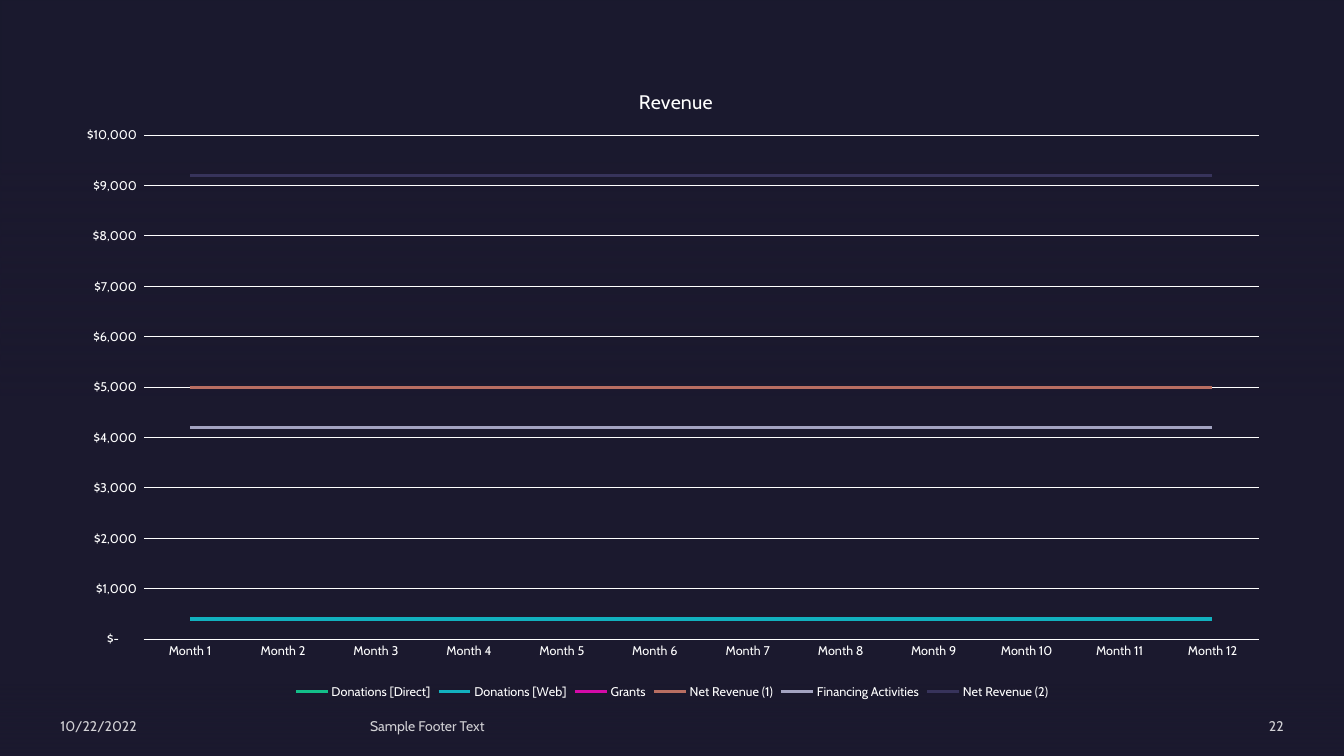
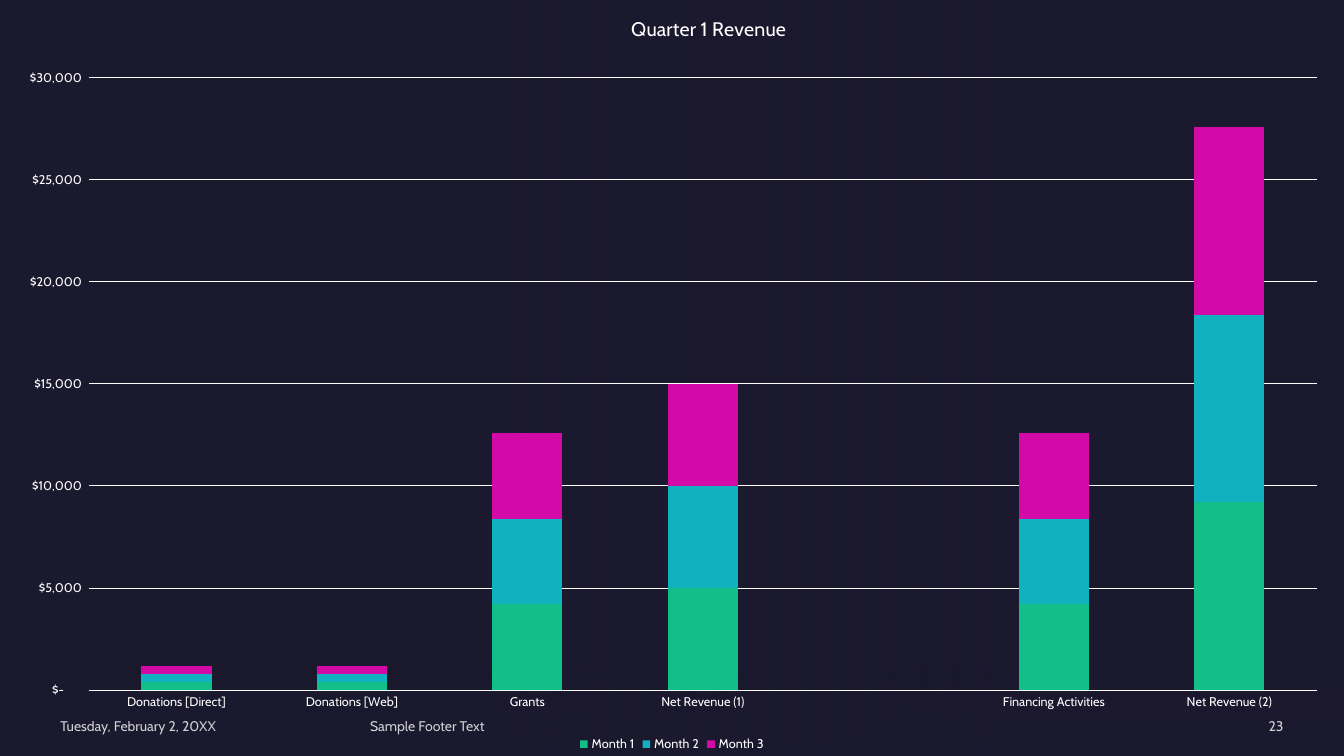
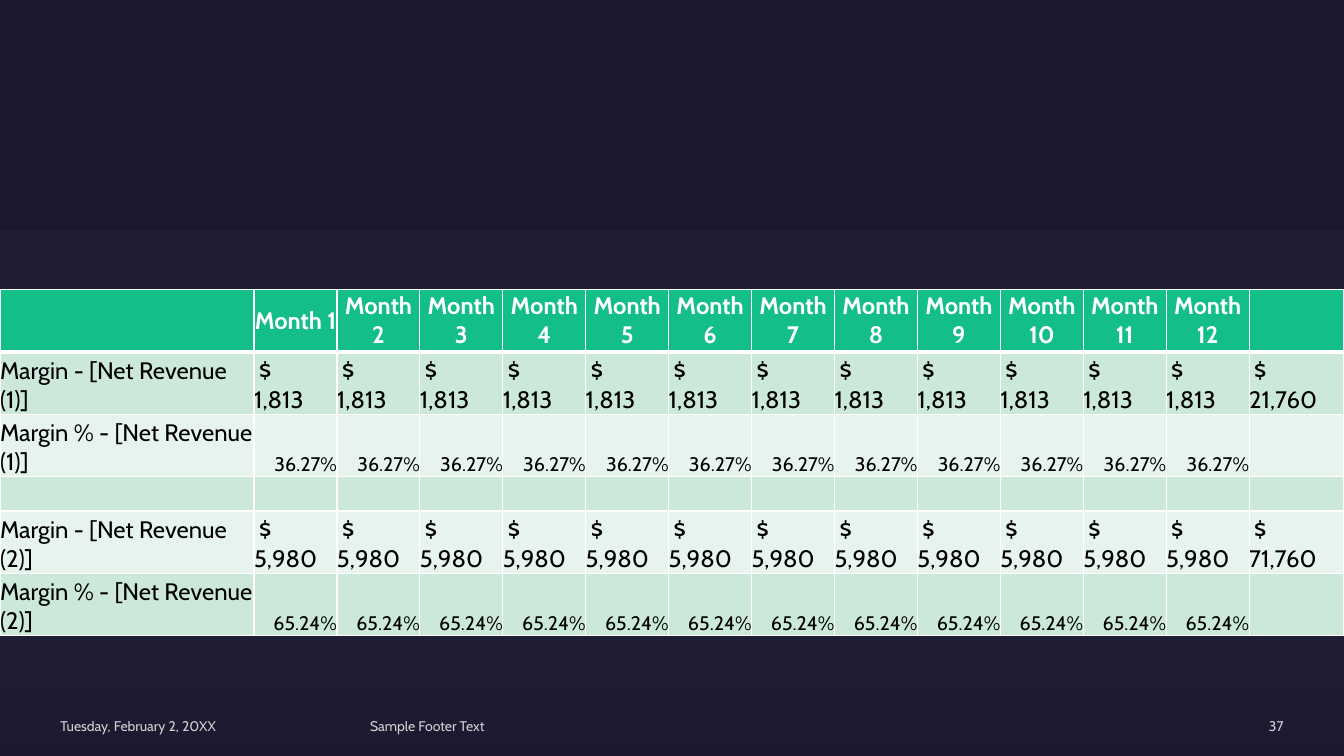
from lxml import etree
from pptx import Presentation
from pptx.chart.data import CategoryChartData
from pptx.dml.color import RGBColor
from pptx.enum.chart import XL_CHART_TYPE, XL_LEGEND_POSITION, XL_TICK_MARK
from pptx.enum.shapes import MSO_SHAPE
from pptx.enum.text import MSO_ANCHOR, PP_ALIGN
from pptx.oxml.ns import qn
from pptx.util import Inches, Pt

LINE, STACK = XL_CHART_TYPE.LINE, XL_CHART_TYPE.COLUMN_STACKED
BOTTOM, NO_TICK = XL_LEGEND_POSITION.BOTTOM, XL_TICK_MARK.NONE
RECT = MSO_SHAPE.RECTANGLE
MID, LOW = MSO_ANCHOR.MIDDLE, MSO_ANCHOR.BOTTOM
LEFT, MIDDLE, RIGHT = PP_ALIGN.LEFT, PP_ALIGN.CENTER, PP_ALIGN.RIGHT

# Shared look
WIDE, HIGH = 13.33, 7.5
FONT = "Cabin"
DARK, WHITE, BLACK, TINT = "1B192E", "FFFFFF", "000000", "7771B2"
GREEN, MINT, PALE = "13BE89", "CCE8DA", "E7F4ED"
COLORS = [GREEN, "12B1BF", "D40AA8", "B86E62", "A3A3C1", "37335B"]
MONEY = '_("$"* #,##0_);_("$"* \\(#,##0\\);_("$"* "-"??_);_(@_)'
FOOT = "Sample Footer Text"
DAY = "Tuesday, February 2, 20XX"
FOOT_SPOTS = [(0.6, 2.88, LEFT), (3.67, 6.98, LEFT), (10.88, 1.85, RIGHT)]
BASE = (0, 6.31, WIDE, 1.19)

# Content
MONTHS = [f"Month {n}" for n in range(1, 13)]
ITEMS = [("Donations [Direct]", 400), ("Donations [Web]", 400),
         ("Grants", 4200), ("Net Revenue (1)", 5000),
         ("Financing Activities", 4200), ("Net Revenue (2)", 9200)]
GROUPS = ITEMS[:4] + [("", None)] + ITEMS[4:]

YEAR = dict(
    kind=LINE, box=(0.6, 0.6, 12.13, 6.38), title="Revenue", cats=MONTHS,
    rows=[(name, [val] * 12) for name, val in ITEMS],
    top=10000, step=1000, spot=(0.47, 0.038),
    plot=(0.068, 0.116, 0.912, 0.784))
QUARTER = dict(
    kind=STACK, box=(0, 0, WIDE, HIGH), title="Quarter 1 Revenue",
    cats=[name for name, _ in GROUPS],
    rows=[(month, [val for _, val in GROUPS]) for month in MONTHS[:3]],
    top=30000, step=5000, spot=(0.467, 0.016),
    plot=(0.066, 0.103, 0.914, 0.81))

# Table rows: label, monthly value, total, fill, height
MARGINS = [
    ("Margin - [Net Revenue (1)]", "$\v1,813", "$\v21,760", MINT, 0.62),
    ("Margin % - [Net Revenue (1)]", "36.27%", "", PALE, 0.62),
    ("", "", "", MINT, 0.34),
    ("Margin - [Net Revenue (2)]", "$\v5,980", "$\v71,760", PALE, 0.62),
    ("Margin % - [Net Revenue (2)]", "65.24%", "", MINT, 0.62),
]


def rgb(code):
    return RGBColor.from_string(code)


def inch(box):
    return [Inches(n) for n in box]


def style(font, size, color=WHITE, bold=False):
    looks = dict(name=FONT, size=Pt(size), bold=bold)
    for key, val in looks.items():
        setattr(font, key, val)
    font.color.rgb = rgb(color)


def fade(node, *alphas):
    for tag, part in zip(list(node.iter(qn("a:srgbClr"))), alphas):
        etree.SubElement(tag, qn("a:alpha")).set("val", str(part * 1000))


def panel(slide, box, turn=0):
    rect = slide.shapes.add_shape(RECT, *inch(box))
    rect.shadow.inherit = False
    rect.line.fill.background()
    rect.rotation = turn
    return rect


def veil(slide, box, stops, angle, turn=0):
    rect = panel(slide, box, turn)
    rect.fill.gradient()
    rect.fill.gradient_angle = -angle % 360
    for stop, place in zip(rect.fill.gradient_stops, stops):
        stop.position = place / 100
        stop.color.rgb = rgb(DARK)
    fade(rect._element, 0, 60)


def footer(slide, day, page):
    for text, (left, width, align) in zip((day, FOOT, page), FOOT_SPOTS):
        box = slide.shapes.add_textbox(*inch((left, 7.12, width, 0.17)))
        frame = box.text_frame
        looks = dict(word_wrap=True, vertical_anchor=MID, margin_left=0,
                     margin_right=0, margin_top=0, margin_bottom=0)
        for key, val in looks.items():
            setattr(frame, key, val)
        para = frame.paragraphs[0]
        para.alignment, para.space_after = align, Pt(6)
        run = para.add_run()
        run.text = text
        style(run.font, 10)
        fade(run._r, 80)


def start(deck):
    slide = deck.slides.add_slide(deck.slide_layouts[6])
    slide.background.fill.solid()
    slide.background.fill.fore_color.rgb = rgb(DARK)
    return slide


def place(node, index, spot, inner=False):
    """Give a chart part a fixed place, as shares of the chart."""
    for old in node.findall(qn("c:layout")):
        node.remove(old)
    layout = etree.Element(qn("c:layout"))
    hand = etree.SubElement(layout, qn("c:manualLayout"))
    pairs = [("layoutTarget", "inner")] if inner else []
    pairs += [("xMode", "edge"), ("yMode", "edge")]
    pairs += zip("xywh", spot)
    for tag, val in pairs:
        etree.SubElement(hand, qn("c:" + tag)).set("val", str(val))
    node.insert(index, layout)


def clear():
    props = etree.Element(qn("c:spPr"))
    etree.SubElement(props, qn("a:noFill"))
    return props


def graph(slide, info):
    data = CategoryChartData()
    data.categories = info["cats"]
    for name, vals in info["rows"]:
        data.add_series(name, vals)
    chart = slide.shapes.add_chart(info["kind"], *inch(info["box"]), data).chart
    style(chart.font, 10)

    # Title and legend
    frame = chart.chart_title.text_frame
    frame.text = info["title"]
    style(frame.paragraphs[0].runs[0].font, 14)
    chart.has_legend = True
    chart.legend.position = BOTTOM
    chart.legend.include_in_layout = False
    style(chart.legend.font, 9)

    # Axes
    cat, val = chart.category_axis, chart.value_axis
    for axis in (cat, val):
        axis.major_tick_mark = axis.minor_tick_mark = NO_TICK
        style(axis.tick_labels.font, 9)
    val.minimum_scale, val.maximum_scale = 0, info["top"]
    val.major_unit = info["step"]
    val.tick_labels.number_format = MONEY
    val.tick_labels.number_format_is_linked = False
    val.format.line.fill.background()
    for line in (cat.format.line, val.major_gridlines.format.line):
        line.color.rgb, line.width = rgb(WHITE), Pt(0.75)

    # Series
    plot = chart.plots[0]
    plot.vary_by_categories = False
    if info["kind"] == STACK:
        plot.gap_width, plot.overlap = 150, 100
    for item, color in zip(plot.series, COLORS):
        if info["kind"] == LINE:
            item.smooth = False
            item.format.line.color.rgb = rgb(color)
            item.format.line.width = Pt(2.25)
        else:
            item.format.fill.solid()
            item.format.fill.fore_color.rgb = rgb(color)

    # Places and clear backgrounds
    root = chart._chartSpace.find(qn("c:chart"))
    area = root.find(qn("c:plotArea"))
    place(root.find(qn("c:title")), 1, info["spot"])
    place(area, 0, info["plot"], True)
    area.append(clear())
    root.addnext(clear())


def edges(cell, **widths):
    props = cell._tc.get_or_add_tcPr()
    for n, side in enumerate("LRTB"):
        line = etree.Element(qn("a:ln" + side))
        line.set("w", str(Pt(widths.get(side, 1))))
        fill = etree.SubElement(line, qn("a:solidFill"))
        etree.SubElement(fill, qn("a:srgbClr")).set("val", WHITE)
        props.insert(n, line)


def write(cell, text, fill, head):
    looks = dict(margin_left=0, margin_right=0, margin_top=0, margin_bottom=0,
                 vertical_anchor=MID if head else LOW)
    for key, val in looks.items():
        setattr(cell, key, val)
    cell.fill.solid()
    cell.fill.fore_color.rgb = rgb(fill)
    cell.text = text
    para = cell.text_frame.paragraphs[0]
    rate = text.endswith("%")
    para.alignment = MIDDLE if head else RIGHT if rate else LEFT
    if text.startswith("$"):
        para._p.get_or_add_pPr().set("indent", str(Inches(0.05)))
    for run in para.runs:
        style(run.font, 14 if rate else 17, WHITE if head else BLACK, head)


def grid(slide):
    rows = [(["", *MONTHS, ""], GREEN, 0.62)]
    rows += [([label, *[each] * 12, total], fill, tall)
             for label, each, total, fill, tall in MARGINS]
    first, last = 2.52, 0.94
    cols = [first, *[(WIDE - first - last) / 12] * 12, last]
    tall = sum(row[2] for row in rows)
    table = slide.shapes.add_table(
        len(rows), len(cols), *inch((0, 2.87, WIDE, tall))).table
    for col, width in zip(table.columns, cols):
        col.width = Inches(width)
    for r, (texts, fill, height) in enumerate(rows):
        table.rows[r].height = Inches(height)
        for c, text in enumerate(texts):
            cell = table.cell(r, c)
            write(cell, text, fill, r == 0)
            edges(cell, T=3 if r == 1 else 1, B=3 if r == 0 else 1)


def main():
    deck = Presentation()
    deck.slide_width, deck.slide_height = inch((WIDE, HIGH))

    # Yearly revenue
    slide = start(deck)
    veil(slide, (0, 0, WIDE, 5.31), (26, 70), 90, 180)
    veil(slide, BASE, (40, 100), 90)
    footer(slide, "10/22/2022", "22")
    graph(slide, YEAR)

    # First quarter
    slide = start(deck)
    veil(slide, (0, 0, 9.84, HIGH), (0, 50), 0, 180)
    veil(slide, BASE, (28, 90), 90)
    footer(slide, DAY, "23")
    graph(slide, QUARTER)

    # Margins
    slide = start(deck)
    tint = panel(slide, (0, 2.28, WIDE, 5.22))
    tint.fill.solid()
    tint.fill.fore_color.rgb = rgb(TINT)
    fade(tint._element, 5)
    veil(slide, BASE, (28, 90), 90)
    footer(slide, DAY, "37")
    grid(slide)

    deck.save("out.pptx")


if __name__ == "__main__":
    main()
